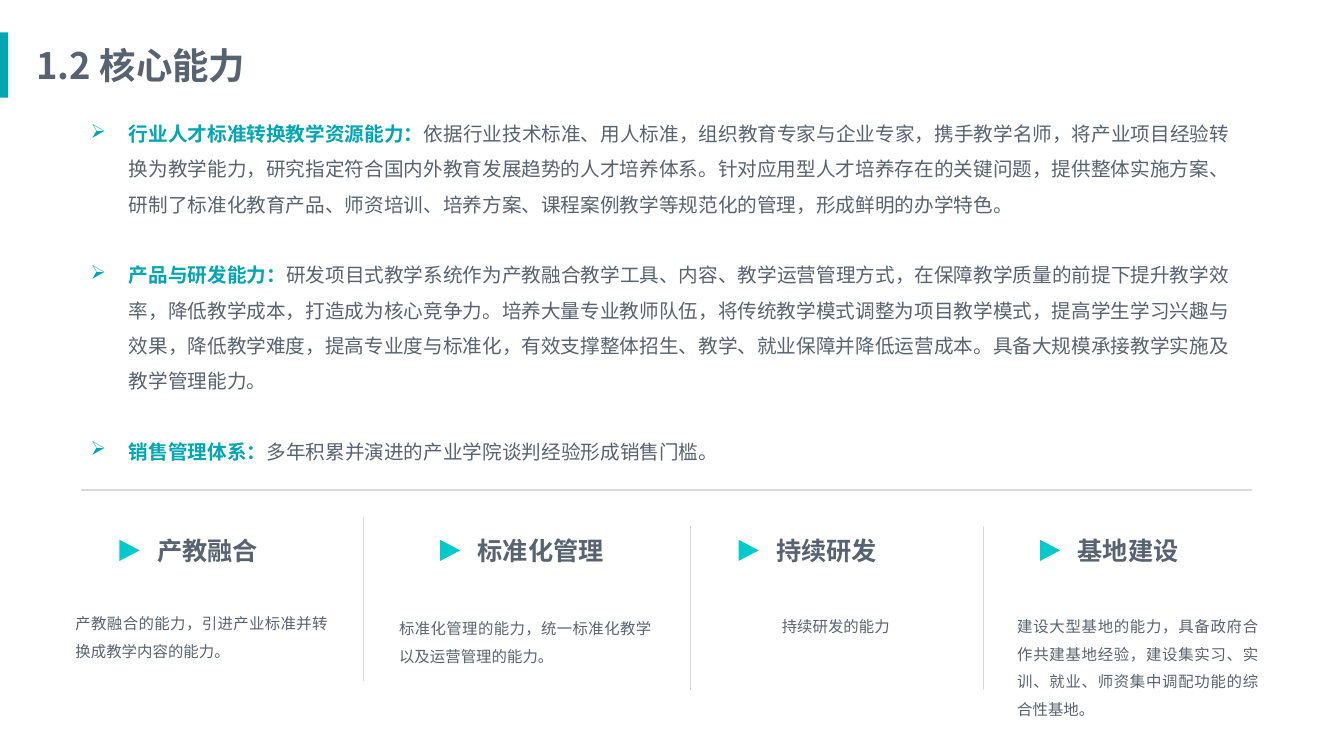
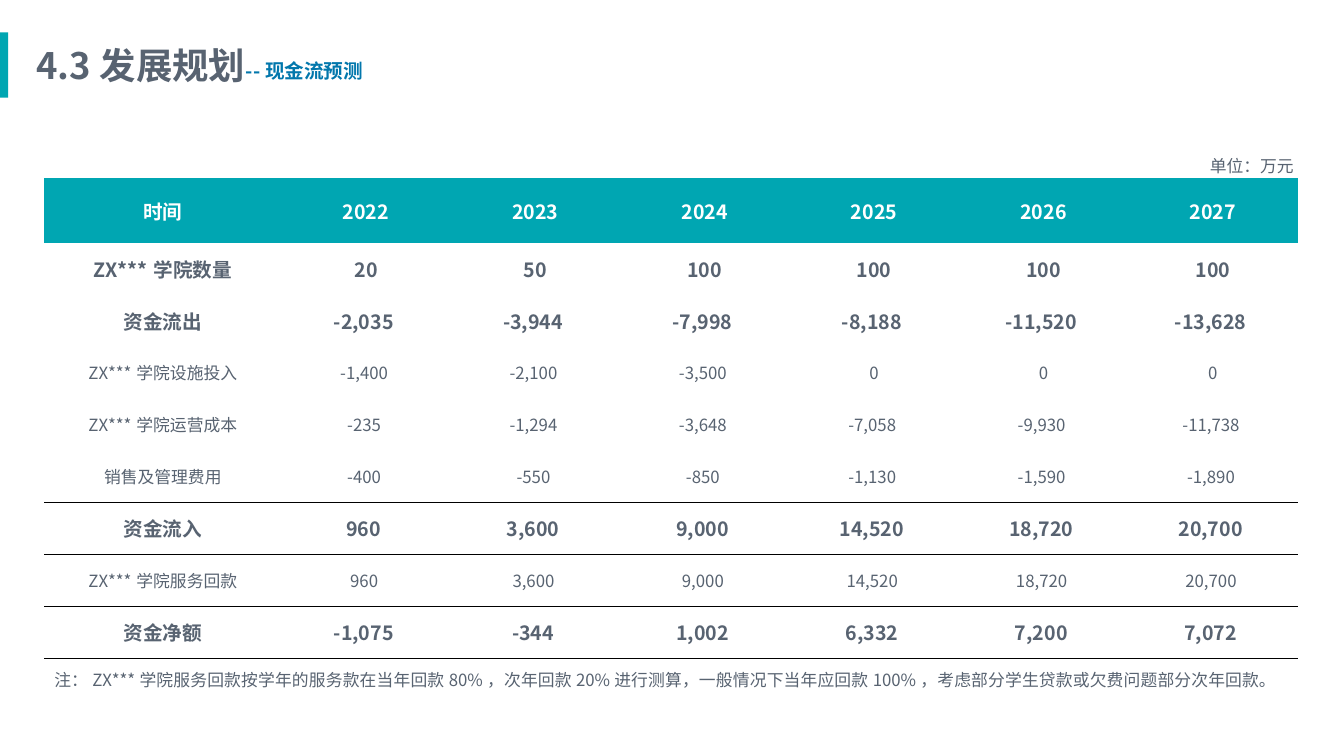
from dataclasses import dataclass

from lxml import etree
from pptx import Presentation
from pptx.dml.color import RGBColor
from pptx.enum.shapes import MSO_CONNECTOR, MSO_SHAPE
from pptx.enum.text import MSO_ANCHOR, MSO_AUTO_SIZE, PP_ALIGN
from pptx.oxml.ns import qn
from pptx.util import Inches, Pt

RECT, TRIANGLE = MSO_SHAPE.RECTANGLE, MSO_SHAPE.ISOSCELES_TRIANGLE
STRAIGHT = MSO_CONNECTOR.STRAIGHT
LEFT, CENTER, JUSTIFY = PP_ALIGN.LEFT, PP_ALIGN.CENTER, PP_ALIGN.JUSTIFY
MIDDLE = MSO_ANCHOR.MIDDLE
FIT_SHAPE = MSO_AUTO_SIZE.SHAPE_TO_FIT_TEXT


@dataclass(frozen=True)
class Theme:
    font: str = "Noto Sans CJK SC"
    text: str = "586371"
    accent: str = "00A6B2"
    marker: str = "01CACC"
    subtitle: str = "0277AC"
    divider: str = "DADADA"
    rule: str = "000000"
    white: str = "FFFFFF"
    title_size: int = 26
    heading_size: int = 18
    body_size: int = 14
    note_size: int = 12
    small_size: int = 11
    spacing: float = 1.5


T = Theme()

ABILITIES = [
    ("行业人才标准转换教学资源能力：",
     "依据行业技术标准、用人标准，组织教育专家与企业专家，携手教学名师，将产业项目经验转换为教学能力，"
     "研究指定符合国内外教育发展趋势的人才培养体系。针对应用型人才培养存在的关键问题，提供整体实施方案、"
     "研制了标准化教育产品、师资培训、培养方案、课程案例教学等规范化的管理，形成鲜明的办学特色。"),
    ("产品与研发能力：",
     "研发项目式教学系统作为产教融合教学工具、内容、教学运营管理方式，在保障教学质量的前提下提升教学效率，"
     "降低教学成本，打造成为核心竞争力。培养大量专业教师队伍，将传统教学模式调整为项目教学模式，"
     "提高学生学习兴趣与效果，降低教学难度，提高专业度与标准化，有效支撑整体招生、教学、就业保障并降低运营成本。"
     "具备大规模承接教学实施及教学管理能力。"),
    ("销售管理体系：", "多年积累并演进的产业学院谈判经验形成销售门槛。"),
]

# heading, heading left and width, description, its box, its alignment
PILLARS = [
    ("产教融合", 1.46, 1.21, "产教融合的能力，引进产业标准并转换成教学内容的能力。",
     (0.65, 5.95, 2.7, 0.62), JUSTIFY),
    ("标准化管理", 4.64, 1.46, "标准化管理的能力，统一标准化教学以及运营管理的能力。",
     (3.86, 6, 2.7, 0.62), JUSTIFY),
    ("持续研发", 7.6, 1.21, "持续研发的能力", (7.1, 5.98, 2.38, 0.35), CENTER),
    ("基地建设", 10.59, 1.21,
     "建设大型基地的能力，具备政府合作共建基地经验，建设集实习、实训、就业、师资集中调配功能的综合性基地。",
     (9.99, 5.98, 2.59, 1.18), JUSTIFY),
]
DIVIDERS = [(3.6, 5.13), (6.85, 5.22), (9.75, 5.22)]
DIVIDER_HEIGHT = 1.63

YEARS = range(2022, 2028)
# label, kind of row, yearly values, rule below
CASH_FLOW = [
    ("ZX***学院数量", "count", (20, 50, 100, 100, 100, 100), False),
    ("资金流出", "total", (-2035, -3944, -7998, -8188, -11520, -13628), False),
    ("ZX***学院设施投入", "detail", (-1400, -2100, -3500, 0, 0, 0), False),
    ("ZX***学院运营成本", "detail", (-235, -1294, -3648, -7058, -9930, -11738), False),
    ("销售及管理费用", "detail", (-400, -550, -850, -1130, -1590, -1890), True),
    ("资金流入", "total", (960, 3600, 9000, 14520, 18720, 20700), False),
    ("ZX***学院服务回款", "detail", (960, 3600, 9000, 14520, 18720, 20700), True),
    ("资金净额", "total", (-1075, -344, 1002, 6332, 7200, 7072), True),
]
NOTE = ("注：ZX***学院服务回款按学年的服务款在当年回款80%，次年回款20%进行测算，"
        "一般情况下当年应回款100%，考虑部分学生贷款或欠费问题部分次年回款。")


def style_run(r, size, color, bold=False):
    r.font.size, r.font.bold = Pt(size), bold
    r.font.color.rgb = RGBColor.from_string(color)
    r.font.name = T.font
    latin = r.font._element.find(qn("a:latin"))
    ea = etree.Element(qn("a:ea"), typeface=T.font)
    latin.addnext(ea)


def add_text(slide, box, text, size, color=T.text, bold=False, align=LEFT,
             spacing=None, wrap=True):
    tf = slide.shapes.add_textbox(*map(Inches, box)).text_frame
    tf.word_wrap, tf.auto_size = wrap, FIT_SHAPE
    tf.text = text
    p = tf.paragraphs[0]
    p.alignment = align
    if spacing:
        p.line_spacing = spacing
    style_run(p.runs[0], size, color, bold)


def add_block(slide, kind, box, color):
    sp = slide.shapes.add_shape(kind, *map(Inches, box))
    sp.shadow.inherit = False
    sp.fill.solid()
    sp.fill.fore_color.rgb = RGBColor.from_string(color)
    sp.line.fill.background()
    return sp


def add_line(slide, x1, y1, x2, y2, width):
    line = slide.shapes.add_connector(STRAIGHT, *map(Inches, (x1, y1, x2, y2)))
    line.line.color.rgb = RGBColor.from_string(T.divider)
    line.line.width = Pt(width)
    etree.SubElement(line._element.spPr, qn("a:effectLst"))


def add_titled_slide(prs, title):
    slide = prs.slides.add_slide(prs.slide_layouts[6])
    add_block(slide, RECT, (0, 0.32, 0.08, 0.65), T.accent)
    add_text(slide, (0.26, 0.38, 2.58, 0.54), title, T.title_size, bold=True)
    return slide


def add_bullet(p):
    """Give the paragraph an arrow bullet with a hanging indent."""
    pPr = p._p.get_or_add_pPr()
    indent = Inches(0.38)
    pPr.set("marL", str(indent))
    pPr.set("indent", str(-indent))
    etree.SubElement(pPr, qn("a:buChar"), char="➢")


def add_abilities(slide):
    sp = slide.shapes.add_textbox(*map(Inches, (0.8, 1.08, 11.61, 3.53)))
    tf = sp.text_frame
    tf.word_wrap, tf.vertical_anchor = True, MIDDLE
    for i, (lead, detail) in enumerate(ABILITIES):
        p = tf.add_paragraph() if i else tf.paragraphs[0]
        p.line_spacing = T.spacing
        if i:
            p.space_before = Pt(25.2)
        add_bullet(p)
        for text, color, bold in ((lead, T.accent, True), (detail, T.text, False)):
            r = p.add_run()
            r.text = text
            style_run(r, T.body_size, color, bold)


def build_abilities_slide(prs):
    slide = add_titled_slide(prs, "1.2核心能力")
    add_abilities(slide)
    add_line(slide, 0.8, 4.86, 12.42, 4.86, 1)
    for x, y in DIVIDERS:
        add_line(slide, x, y, x, y + DIVIDER_HEIGHT, 0.5)
    for heading, x, width, text, box, align in PILLARS:
        add_block(slide, TRIANGLE, (x - 0.28, 5.36, 0.21, 0.2), T.marker).rotation = 90
        add_text(slide, (x, 5.26, width, 0.4), heading, T.heading_size,
                 bold=True, wrap=False)
        add_text(slide, box, text, T.small_size, align=align, spacing=T.spacing)


def add_border(cell, side):
    ln = etree.SubElement(cell._tc.get_or_add_tcPr(), qn(f"a:{side}"), w=str(Pt(1)))
    fill = etree.SubElement(ln, qn("a:solidFill"))
    etree.SubElement(fill, qn("a:srgbClr"), val=T.rule)


def fill_cell(cell, text, size, color, bold, fill, padded):
    cell.text = text
    cell.vertical_anchor = MIDDLE
    cell.margin_left = cell.margin_right = Inches(0.1 if padded else 0)
    cell.margin_top = cell.margin_bottom = Inches(0.05 if padded else 0)
    cell.fill.solid()
    cell.fill.fore_color.rgb = RGBColor.from_string(fill)
    p = cell.text_frame.paragraphs[0]
    p.alignment = CENTER
    style_run(p.runs[0], size, color, bold)


def format_value(value, kind):
    """Amounts keep the trailing space of the accounting number format."""
    return f"{value:,} " if value and kind != "count" else str(value)


def add_cash_flow(slide):
    rows, cols = len(CASH_FLOW) + 1, len(YEARS) + 1
    box = map(Inches, (0.44, 1.77, 12.44, 4.76))
    table = slide.shapes.add_table(rows, cols, *box).table
    table.first_row = table.horz_banding = False
    style_id = table._tbl.tblPr.find(qn("a:tableStyleId"))
    style_id.text = "{2D5ABB26-0587-4C30-8999-92F81FD0307C}"
    for i, col in enumerate(table.columns):
        col.width = Inches(1.68 if i else 2.35)
    for i, row in enumerate(table.rows):
        row.height = Inches(0.515 if i else 0.64)

    for cell, text in zip(table.rows[0].cells, ["时间", *map(str, YEARS)]):
        fill_cell(cell, text, T.body_size, T.white, True, T.accent, True)
    rule_above = False
    for i, (label, kind, values, rule_below) in enumerate(CASH_FLOW, 1):
        bold = kind != "detail"
        size = T.body_size if bold else T.note_size
        texts = [label, *(format_value(v, kind) for v in values)]
        for j, text in enumerate(texts):
            cell = table.cell(i, j)
            if rule_above:
                add_border(cell, "lnT")
            if rule_below:
                add_border(cell, "lnB")
            fill_cell(cell, text, size, T.text, bold, T.white, j == 0)
        rule_above = rule_below


def build_cash_flow_slide(prs):
    slide = add_titled_slide(prs, "4.3发展规划")
    add_text(slide, (2.34, 0.54, 4.06, 0.34), "--现金流预测", T.body_size,
             T.subtitle, bold=True)
    add_cash_flow(slide)
    for box, text in (((0.44, 6.5, 12.15, 0.37), NOTE),
                      ((11.9, 1.4, 1.39, 0.37), "单位：万元")):
        add_text(slide, box, text, T.note_size, align=JUSTIFY, spacing=T.spacing)


def main():
    prs = Presentation()
    prs.slide_width, prs.slide_height = Inches(13.33), Inches(7.5)
    build_abilities_slide(prs)
    build_cash_flow_slide(prs)
    prs.save("out.pptx")


if __name__ == "__main__":
    main()
